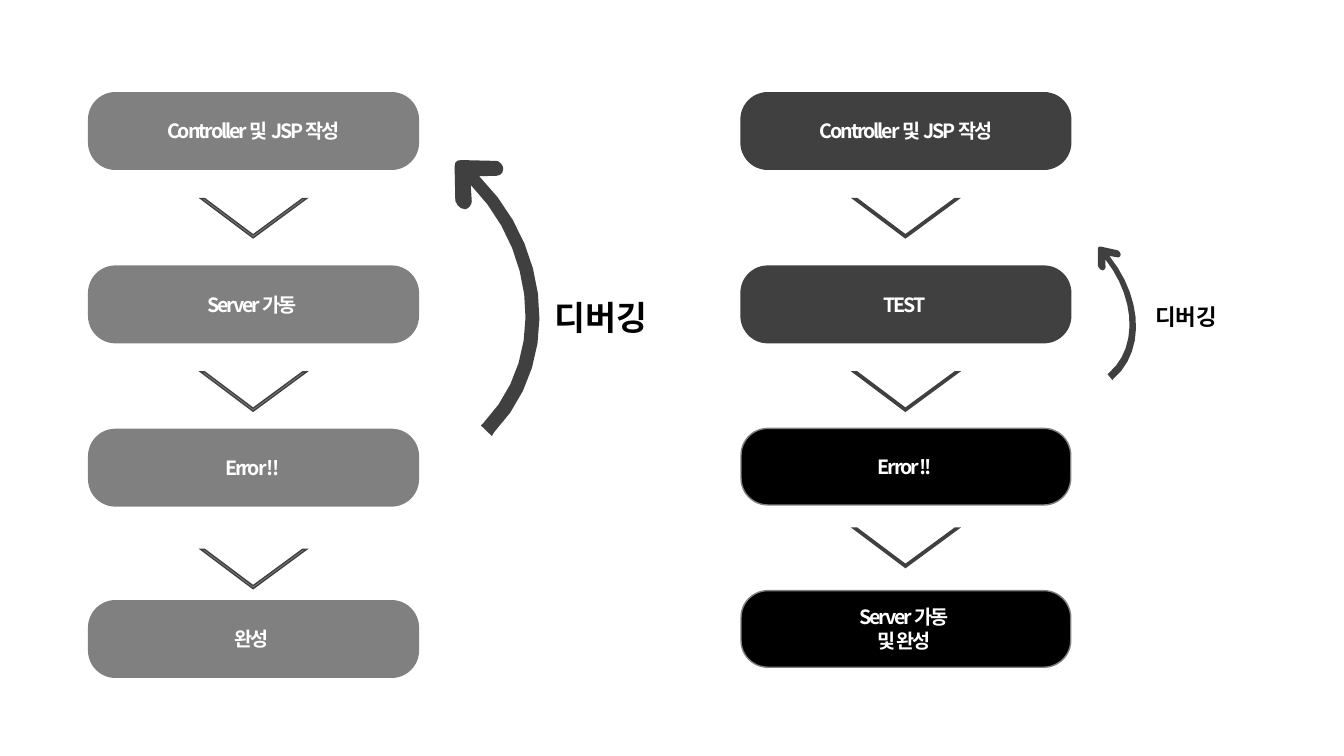
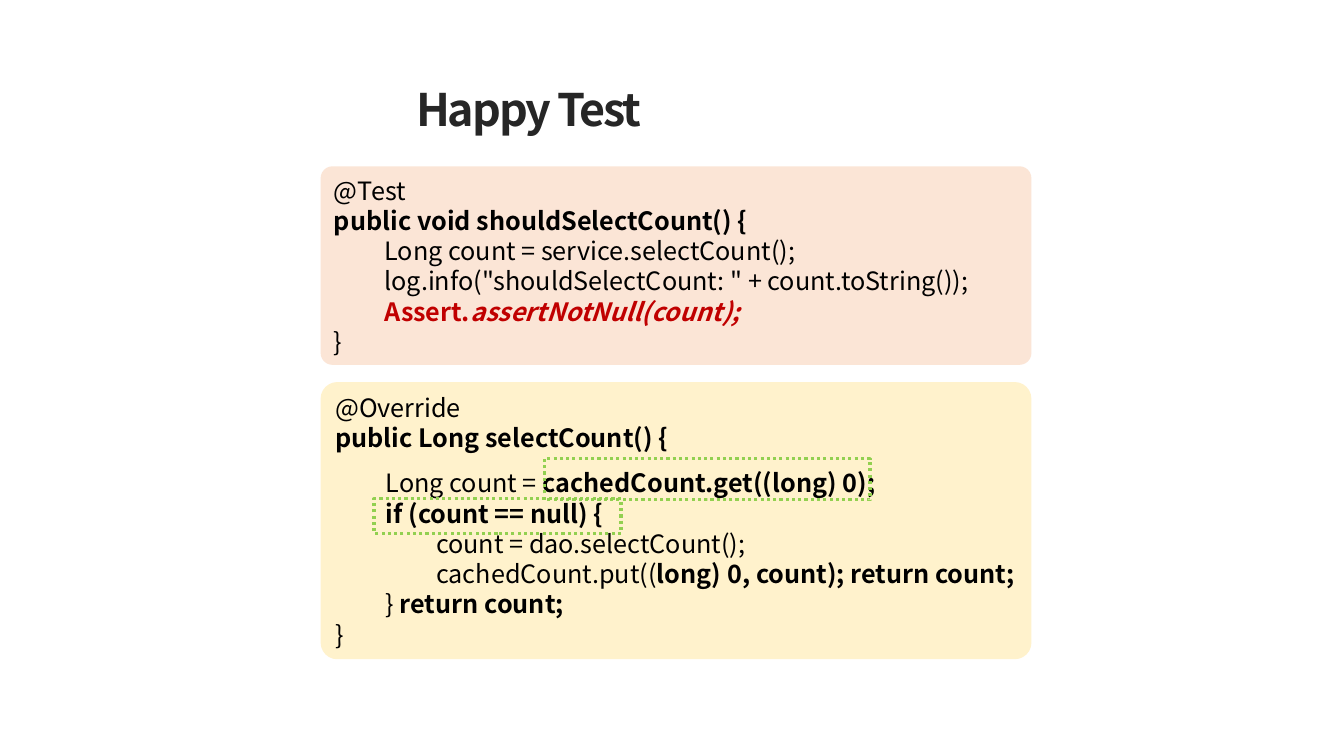
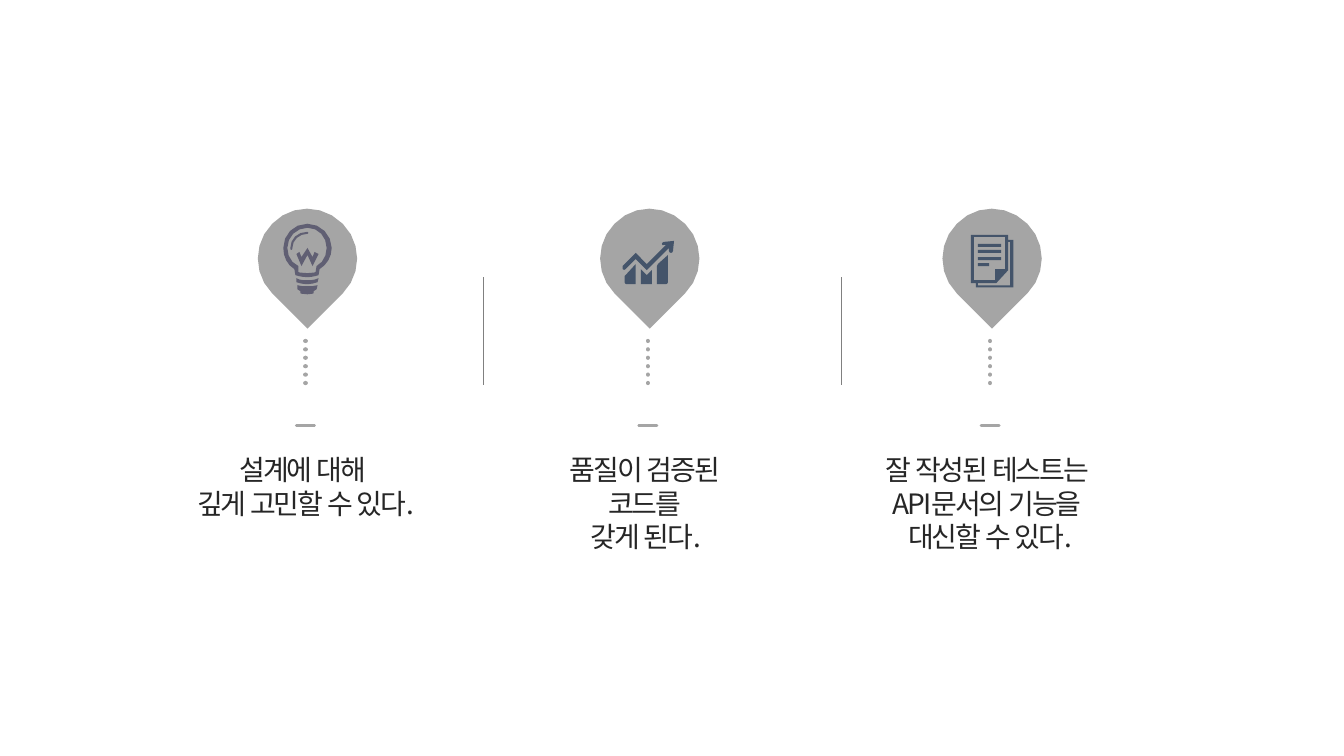
import dataclasses
import math

import lxml.etree
import pptx
import pptx.dml.color
import pptx.enum.dml
import pptx.enum.lang
import pptx.enum.shapes
import pptx.enum.text
import pptx.oxml.ns
import pptx.shapes.autoshape
import pptx.shapes.connector
import pptx.slide
import pptx.text.text
import pptx.util

Inches = pptx.util.Inches
Presets = pptx.enum.shapes.MSO_SHAPE
Align = pptx.enum.text.PP_ALIGN
Anchor = pptx.enum.text.MSO_ANCHOR
SYS_DOT = pptx.enum.dml.MSO_LINE.ROUND_DOT
KOREAN = pptx.enum.lang.MSO_LANGUAGE_ID.KOREAN


@dataclasses.dataclass(frozen=True)
class Theme:
    font: str = "Noto Sans CJK KR"
    white: str = "FFFFFF"
    black: str = "000000"
    gray: str = "808080"
    dark: str = "404040"
    ink: str = "262626"
    red: str = "C00000"
    test_panel: str = "FBE5D6"
    code_panel: str = "FFF2CC"
    highlight: str = "92D050"
    pin: str = "A5A5A5"
    bulb: str = "605F73"
    navy: str = "44546A"
    title_size: float = 32
    loop_size: float = 24
    benefit_size: float = 20
    code_size: float = 18
    small_loop_size: float = 16
    step_size: float = 14
    tight: int = -150


THEME = Theme()


@dataclasses.dataclass(frozen=True)
class Box:
    left: float
    top: float
    width: float
    height: float

    def emu(self) -> tuple[int, ...]:
        return tuple(Inches(side) for side in dataclasses.astuple(self))


@dataclasses.dataclass(frozen=True)
class Stroke:
    color: str
    width: float
    dotted: bool = False
    round_cap: bool = False
    mitered: bool = False


@dataclasses.dataclass(frozen=True)
class TextStyle:
    size: float
    color: str
    bold: bool = False
    spacing: int = 0
    align: Align = Align.LEFT


@dataclasses.dataclass(frozen=True)
class Span:
    text: str
    bold: bool = False
    italic: bool = False
    color: str = ""


@dataclasses.dataclass(frozen=True)
class Line:
    spans: tuple[Span, ...]
    level: int = 0
    spacing: float = 1.0


@dataclasses.dataclass(frozen=True)
class Step:
    text: str
    top: float
    fill: str
    edge: str


@dataclasses.dataclass(frozen=True)
class Flow:
    left: float
    chevron_fill: str
    chevron_tops: tuple[float, ...]
    steps: tuple[Step, ...]


@dataclasses.dataclass(frozen=True)
class Loop:
    arrow_box: Box
    rotation: float
    label_box: Box
    label_size: float


@dataclasses.dataclass(frozen=True)
class Benefit:
    text: str
    icon: str
    icon_color: str
    icon_dx: float
    icon_top: float


# Outlines are in hundredths of an inch from their own top left corner.
CHEVRON = "M 0,39 L 53,0 105,39 101,39 53,3 4,39"
LOOP_ARROW = """M 201,34 C 201,36 200,38 199,39 196,42 192,42 189,39 L 177,27
    C 175,130 99,213 4,213 L 0,214 0,199 4,199 C 91,199 162,122 165,27
    L 154,39 C 153,40 151,41 149,41 147,41 145,41 144,40 140,36 141,31 143,27
    L 167,3 C 169,0 174,0 176,3 L 199,28 C 201,29 201,31 201,34"""
PIN = """M 89,89 L 54,124 19,89
    C 0,70 0,39 19,20 38,0 69,0 89,20 108,39 108,70 89,89"""
BULB = """M 24,10 L 25,9 C 25,8 24,8 24,8 14,8 7,15 7,24 7,25 7,26 8,26
    9,26 9,25 9,24 9,16 16,10 24,10
    M 14,61 L 14,65 17,67 17,69 C 17,69 19,70 24,70 28,70 30,69 30,69
    L 30,67 33,65 34,61 C 31,62 27,62 24,62 20,62 17,62 14,61
    M 13,54 L 13,58 C 16,59 20,60 24,60 27,60 31,59 34,58
    L 35,54 C 31,56 28,56 24,56 19,56 16,56 13,54
    M 24,0 C 10,0 0,11 0,24 0,33 4,41 11,45 L 12,51
    C 15,52 19,53 24,53 28,53 32,52 35,51 L 36,45
    C 43,41 48,33 48,24 48,11 37,0 24,0
    M 33,42 L 32,48 C 32,48 30,49 24,49 17,49 15,48 15,48 L 15,42
    C 8,39 4,32 4,24 4,13 13,4 24,4 35,4 43,13 43,24 43,32 39,39 33,42
    M 29,33 L 24,24 18,33 16,28 13,30 18,42 24,31 29,42 35,30 31,28"""
GROWTH = """M 18,28 L 18,43 29,43 29,29 24,34
    M 2,41 C 2,42 3,43 4,43 L 13,43 13,23 2,35
    M 34,25 L 34,43 43,43 C 44,43 45,42 45,41 L 45,14 35,23
    M 41,1 C 40,1 39,2 39,3 39,4 40,5 41,4 L 43,4 24,23 13,12 0,25
    C 0,26 0,27 0,28 1,29 2,29 3,28 L 13,18 24,29 46,7 46,10
    C 46,11 47,12 48,12 49,12 50,11 50,10 L 51,0"""
DOCUMENT = """M 7,9 L 30,9 30,12 7,12 M 7,15 L 30,15 30,18 7,18
    M 7,22 L 30,22 30,25 7,25 M 7,28 L 18,28 18,31 7,31
    M 37,5 L 37,0 0,0 0,48 5,48 5,52 42,52 42,5
    M 3,45 L 3,2 34,2 34,34 24,34 24,45
    M 39,50 L 7,50 7,48 25,48 37,35 37,7 39,7"""

FLOWS = (
    Flow(0.88, THEME.gray, (1.97, 3.69, 5.45), (
        Step("Controller 및 JSP 작성", 0.92, THEME.gray, THEME.gray),
        Step("Server 가동 ", 2.64, THEME.gray, THEME.gray),
        Step("Error !! ", 4.26, THEME.gray, THEME.gray),
        Step("완성 ", 5.96, THEME.gray, THEME.gray),
    )),
    Flow(7.35, THEME.dark, (1.97, 3.69, 5.24), (
        Step("Controller 및 JSP 작성", 0.92, THEME.dark, THEME.dark),
        Step("TEST ", 2.64, THEME.dark, THEME.dark),
        Step("Error !! ", 4.25, THEME.black, THEME.gray),
        Step("Server 가동 \n및 완성 ", 5.86, THEME.black, THEME.gray),
    )),
)
LOOPS = (
    Loop(Box(3.8, 1.78, 2.01, 2.14), 313.9, Box(5.4, 2.9, 1.21, 0.5), THEME.loop_size),
    Loop(Box(10.58, 2.51, 0.87, 1.1), 320.1, Box(11.36, 2.96, 0.88, 0.37),
         THEME.small_loop_size),
)
TEST_CODE = (
    Line((Span("@Test"),)),
    Line((Span("public void shouldSelectCount() {", bold=True),)),
    Line((Span("Long count = service.selectCount();"),), 1),
    Line((Span('log.info("shouldSelectCount: " + count.toString());'),), 1),
    Line((Span("Assert.", True, color=THEME.red),
          Span("assertNotNull(count);", True, True, THEME.red)), 1),
    Line((Span("}"),)),
)
SERVICE_CODE = (
    Line((Span("@Override"),)),
    Line((Span("public Long selectCount() {", bold=True),)),
    Line((Span("Long count = "), Span("cachedCount.get((long) 0);", bold=True)), 1, 1.5),
    Line((Span("if (count == null) {", bold=True),), 1),
    Line((Span("count = dao.selectCount();"),), 2),
    Line((Span("cachedCount.put(("), Span("long) 0, count); return count;", bold=True)), 2),
    Line((Span("} "), Span("return count;", bold=True)), 1),
    Line((Span("}"),)),
)
CODE_PANELS = (
    (Box(3.18, 1.65, 7.05, 1.97), THEME.test_panel, TEST_CODE),
    (Box(3.18, 3.79, 7.05, 2.75), THEME.code_panel, SERVICE_CODE),
)
HIGHLIGHTS = (Box(5.4, 4.55, 3.23, 0.41), Box(3.71, 4.95, 2.45, 0.34))
BENEFITS = (
    Benefit("설계에 대해 \n깊게 고민할 수 있다.", BULB, THEME.bulb, -0.24, 2.22),
    Benefit("품질이 검증된 \n코드를 \n갖게 된다. ", GROWTH, THEME.navy, -0.27, 2.39),
    Benefit("잘 작성된 테스트는 \nAPI문서의 기능을 \n대신할 수 있다.", DOCUMENT, THEME.navy, -0.21, 2.33),
)


def rgb(color: str) -> pptx.dml.color.RGBColor:
    return pptx.dml.color.RGBColor.from_string(color)


def plain_lines(text: str, bold: bool) -> tuple[Line, ...]:
    return tuple(Line((Span(row, bold),)) for row in text.split("\n"))


def write(frame: pptx.text.text.TextFrame, lines: tuple[Line, ...], style: TextStyle) -> None:
    frame.word_wrap = True
    for index, line in enumerate(lines):
        paragraph = frame.add_paragraph() if index else frame.paragraphs[0]
        layout = {"alignment": style.align, "level": line.level, "line_spacing": line.spacing}
        for name, value in layout.items():
            setattr(paragraph, name, value)
        margins = paragraph._p.get_or_add_pPr()
        margins.set("marL", str(Inches(0.5 * line.level)))
        margins.set("indent", "0")
        for span in line.spans:
            run = paragraph.add_run()
            run.text = span.text
            look = {"size": pptx.util.Pt(style.size), "name": THEME.font, "bold": span.bold,
                    "italic": span.italic, "language_id": KOREAN}
            for name, value in look.items():
                setattr(run.font, name, value)
            run.font.color.rgb = rgb(span.color or style.color)
            properties = run._r.get_or_add_rPr()
            if style.spacing:
                properties.set("spc", str(style.spacing))
            east_asian = lxml.etree.SubElement(properties, pptx.oxml.ns.qn("a:ea"))
            east_asian.set("typeface", THEME.font)


def add_text(slide: pptx.slide.Slide, box: Box, text: str, style: TextStyle) -> None:
    frame = slide.shapes.add_textbox(*box.emu()).text_frame
    write(frame, plain_lines(text, style.bold), style)


def set_stroke(
    shape: pptx.shapes.autoshape.Shape | pptx.shapes.connector.Connector, stroke: Stroke
) -> None:
    shape.line.color.rgb = rgb(stroke.color)
    shape.line.width = pptx.util.Pt(stroke.width)
    if stroke.dotted:
        shape.line.dash_style = SYS_DOT
    edge = shape.line._get_or_add_ln()
    if stroke.round_cap:
        edge.set("cap", "rnd")
    if stroke.mitered:
        lxml.etree.SubElement(edge, pptx.oxml.ns.qn("a:miter")).set("lim", "800000")


def paint(shape: pptx.shapes.autoshape.Shape, fill: str = "", stroke: Stroke | None = None) -> None:
    shape.shadow.inherit = False
    if fill:
        shape.fill.solid()
        shape.fill.fore_color.rgb = rgb(fill)
    else:
        shape.fill.background()
    if stroke:
        set_stroke(shape, stroke)
    else:
        shape.line.fill.background()


def add_preset(
    slide: pptx.slide.Slide, kind: Presets, box: Box, fill: str = "", stroke: Stroke | None = None
) -> pptx.shapes.autoshape.Shape:
    shape = slide.shapes.add_shape(kind, *box.emu())
    paint(shape, fill, stroke)
    return shape


def add_rule(
    slide: pptx.slide.Slide, start: tuple[float, float], end: tuple[float, float], stroke: Stroke
) -> None:
    rule = slide.shapes.add_connector(
        pptx.enum.shapes.MSO_CONNECTOR.STRAIGHT, *(Inches(value) for value in start + end))
    set_stroke(rule, stroke)
    lxml.etree.SubElement(rule._element.spPr, pptx.oxml.ns.qn("a:effectLst"))


def trace(outline: str) -> list[list[tuple[float, float]]]:
    """Turn M, L and C commands into contours; longer curves get more segments."""
    contours: list[list[tuple[float, float]]] = []
    command, pending = "", []
    for token in outline.split():
        if token in "MLC":
            command = token
            continue
        x, y = token.split(",")
        pending.append((float(x), float(y)))
        if command == "C" and len(pending) < 3:
            continue
        if command == "M":
            contours.append(pending)
        elif command == "L":
            contours[-1].extend(pending)
        else:
            controls = (contours[-1][-1], *pending)
            length = sum(math.dist(a, b) for a, b in zip(controls, pending))
            pieces = math.ceil(0.6 * math.sqrt(length))
            for piece in range(1, pieces + 1):
                t = piece / pieces
                weights = ((1 - t) ** 3, 3 * t * (1 - t) ** 2, 3 * t * t * (1 - t), t ** 3)
                contours[-1].append(tuple(
                    sum(weight * point[axis] for weight, point in zip(weights, controls))
                    for axis in (0, 1)))
        pending = []
    return contours


def add_outline(
    slide: pptx.slide.Slide, outline: str, left: float, top: float, fill: str,
    stroke: Stroke | None = None,
) -> pptx.shapes.autoshape.Shape:
    contours = [
        [(Inches(left + x / 100), Inches(top + y / 100)) for x, y in contour]
        for contour in trace(outline)
    ]
    builder = slide.shapes.build_freeform(*contours[0][0], scale=1.0)
    for index, contour in enumerate(contours):
        if index:
            builder.move_to(*contour[0])
        end = -1 if contour[-1] == contour[0] else None
        builder.add_line_segments(contour[1:end], close=True)
    shape = builder.convert_to_shape()
    paint(shape, fill, stroke)
    return shape


def draw_flows(slide: pptx.slide.Slide) -> None:
    step_style = TextStyle(THEME.step_size, THEME.white, True, THEME.tight, Align.CENTER)
    for flow in FLOWS:
        for top in flow.chevron_tops:
            chevron = add_outline(slide, CHEVRON, flow.left + 1.11, top, flow.chevron_fill,
                                  Stroke(THEME.dark, 1, mitered=True))
            chevron.rotation = 180
        for step in flow.steps:
            card = add_preset(slide, Presets.ROUNDED_RECTANGLE,
                              Box(flow.left, step.top, 3.27, 0.76), step.fill,
                              Stroke(step.edge, 1))
            card.adjustments[0] = 0.35
            card.text_frame.vertical_anchor = Anchor.MIDDLE
            write(card.text_frame, plain_lines(step.text, True), step_style)
    for loop in LOOPS:
        box = loop.arrow_box
        arrow = add_outline(slide, LOOP_ARROW, box.left, box.top, THEME.dark)
        placement = {"width": Inches(box.width), "height": Inches(box.height),
                     "rotation": loop.rotation}
        for name, value in placement.items():
            setattr(arrow, name, value)
        add_text(slide, loop.label_box, "디버깅", TextStyle(loop.label_size, THEME.black, True))


def draw_happy_test(slide: pptx.slide.Slide) -> None:
    add_text(slide, Box(3.32, 0.76, 3.85, 0.64), "Happy Test",
             TextStyle(THEME.title_size, THEME.ink, True, THEME.tight, Align.CENTER))
    for box, fill, code in CODE_PANELS:
        panel = add_preset(slide, Presets.ROUNDED_RECTANGLE, box, fill)
        panel.adjustments[0] = 0.06
        panel.text_frame.vertical_anchor = Anchor.MIDDLE
        write(panel.text_frame, code, TextStyle(THEME.code_size, THEME.black))
    for box in HIGHLIGHTS:
        add_preset(slide, Presets.RECTANGLE, box, stroke=Stroke(THEME.highlight, 2.25, True))


def draw_benefits(slide: pptx.slide.Slide) -> None:
    first_center, last_center = 3.05, 9.84
    pitch = (last_center - first_center) / (len(BENEFITS) - 1)
    style = TextStyle(THEME.benefit_size, THEME.ink, False, THEME.tight, Align.CENTER)
    for index, benefit in enumerate(BENEFITS):
        center = first_center + pitch * index
        add_outline(slide, PIN, center - 0.54, 2.02, THEME.pin)
        add_outline(slide, benefit.icon, center + benefit.icon_dx, benefit.icon_top,
                    benefit.icon_color)
        axis = center - 0.02
        add_rule(slide, (axis, 3.8), (axis, 3.38), Stroke(THEME.pin, 3, True, True))
        add_rule(slide, (axis - 0.09, 4.22), (axis + 0.09, 4.22),
                 Stroke(THEME.pin, 2, round_cap=True))
        rows = benefit.text.count("\n") + 1
        add_text(slide, Box(center - 1.87, 4.44, 3.7, 0.09 + 0.34 * rows), benefit.text, style)
    for x in (4.79, 8.34):
        add_rule(slide, (x, 2.75), (x, 3.82), Stroke(THEME.gray, 0.5))


def main() -> None:
    deck = pptx.Presentation()
    deck.slide_width, deck.slide_height = Inches(13.33), Inches(7.5)
    blank = deck.slide_layouts[6]
    for draw in (draw_flows, draw_happy_test, draw_benefits):
        draw(deck.slides.add_slide(blank))
    deck.save("out.pptx")


if __name__ == "__main__":
    main()
